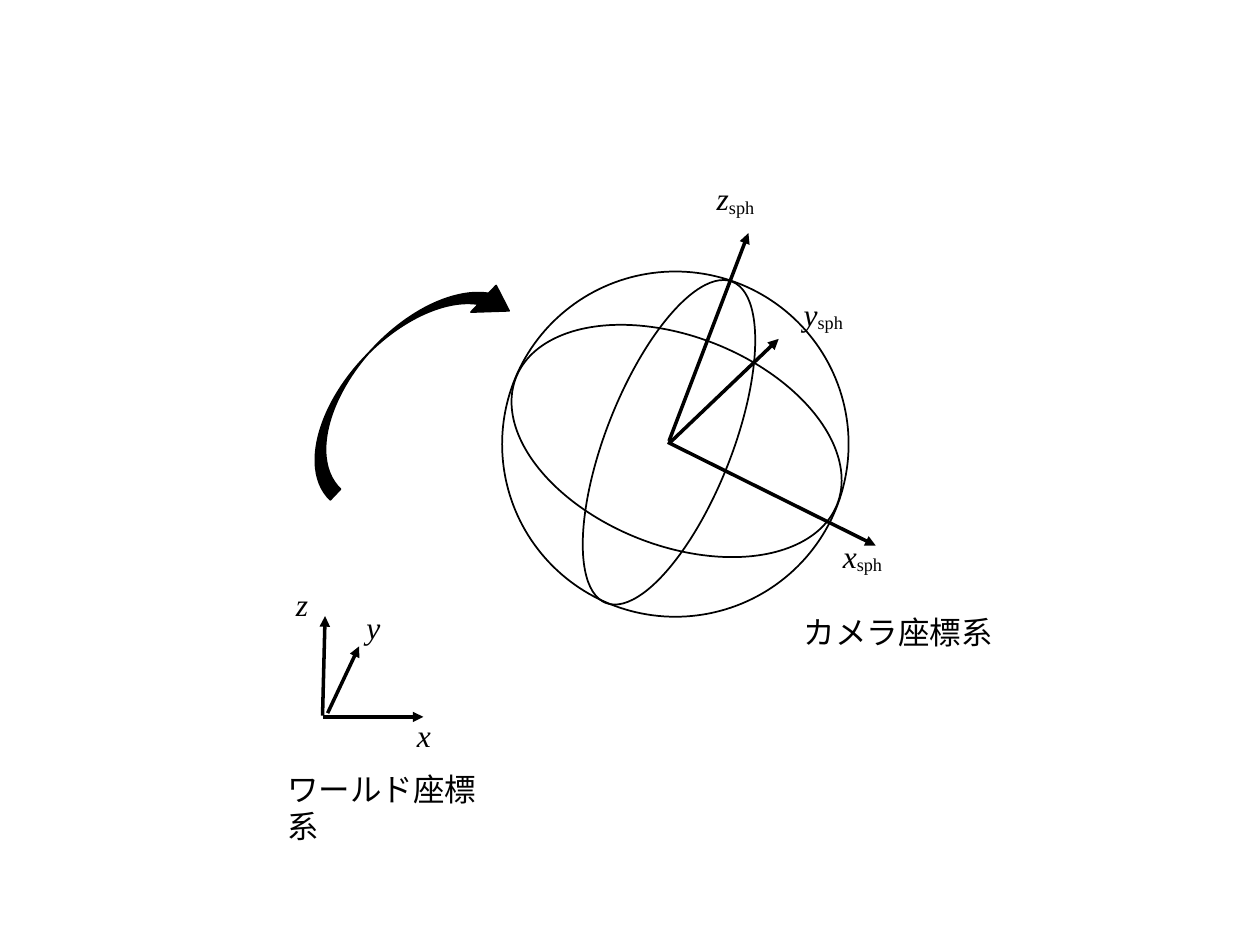
"""Build a slide relating world coordinates to spherical camera coordinates."""
from lxml.etree import SubElement
from pptx import Presentation
from pptx.dml.color import RGBColor
from pptx.enum.shapes import MSO_CONNECTOR, MSO_SHAPE
from pptx.enum.text import MSO_AUTO_SIZE
from pptx.oxml.ns import qn
from pptx.util import Inches, Pt

COLORS = {"ink": "000000"}
INK = RGBColor.from_string(COLORS["ink"])
SYMBOL = {"name": "Times New Roman", "size": Pt(18), "italic": True}
SUBSCRIPT = {**SYMBOL, "italic": False}
CAPTION = {"name": "Calibri", "size": Pt(18)}


def add_axis(shapes, start, end):
    connector = shapes.add_connector(
        MSO_CONNECTOR.STRAIGHT, *[Inches(value) for value in (*start, *end)]
    )
    connector.line.color.rgb = INK
    connector.line.width = Pt(2)
    SubElement(connector.line._get_or_add_ln(), qn("a:tailEnd"), type="triangle")
    SubElement(connector._element.spPr, qn("a:effectLst"))


def add_label(shapes, box, wrap, pieces):
    shape = shapes.add_textbox(*[Inches(value) for value in box])
    shape.text_frame.word_wrap = wrap
    shape.text_frame.auto_size = MSO_AUTO_SIZE.SHAPE_TO_FIT_TEXT
    paragraph = shape.text_frame.paragraphs[0]
    for text, style in pieces:
        run = paragraph.add_run()
        run.text = text
        run.font.color.rgb = INK
        for name, value in style.items():
            setattr(run.font, name, value)
        if style is SUBSCRIPT:
            run._r.get_or_add_rPr().set("baseline", "-12000")


presentation = Presentation()
presentation.slide_width = Inches(10)
presentation.slide_height = Inches(7.5)
slide = presentation.slides.add_slide(presentation.slide_layouts[6])
sphere = slide.shapes.add_group_shape()

ellipses = [
    ((3.99, 2.15, 2.74, 2.75), 270),
    ((4, 2.67, 2.74, 1.66), 21.6),
    ((3.94, 3.01, 2.74, 1), 291.5),
]
for box, rotation in ellipses:
    ellipse = sphere.shapes.add_shape(
        MSO_SHAPE.OVAL, *[Inches(value) for value in box]
    )
    ellipse.rotation = rotation
    ellipse.shadow.inherit = False
    ellipse.fill.background()
    ellipse.line.color.rgb = INK
    ellipse.line.width = Pt(1)

camera_axes = [
    ((5.31, 3.52), (6.18, 2.69)),
    ((5.3, 3.51), (6.95, 4.33)),
    ((5.31, 3.5), (5.94, 1.85)),
]
for start, end in camera_axes:
    add_axis(sphere.shapes, start, end)

camera_labels = [
    ("z", (5.59, 1.37, 0.53, 0.4)),
    ("x", (6.59, 4.21, 0.55, 0.4)),
    ("y", (6.28, 2.29, 0.55, 0.4)),
]
for letter, box in camera_labels:
    add_label(slide.shapes, box, False, [(letter, SYMBOL), ("sph", SUBSCRIPT)])

turn = slide.shapes.add_shape(
    MSO_SHAPE.CURVED_LEFT_ARROW, Inches(2.88), Inches(1.86), Inches(0.58), Inches(2.21)
)
turn.rotation = 223.4
for index, value in enumerate((0.202, 0.5, 0.367)):
    turn.adjustments[index] = value
turn.shadow.inherit = False
turn.fill.solid()
turn.fill.fore_color.rgb = INK
turn.line.color.rgb = INK
turn.line.width = Pt(1)

world_axes = [
    ((2.56, 5.69), (3.36, 5.69)),
    ((2.6, 5.66), (2.85, 5.13)),
    ((2.56, 5.68), (2.58, 4.89)),
]
for start, end in world_axes:
    add_axis(slide.shapes, start, end)

world_labels = [
    ("x", (3.21, 5.63, 0.31, 0.4)),
    ("y", (2.81, 4.78, 0.31, 0.4)),
    ("z", (2.25, 4.59, 0.3, 0.4)),
]
for letter, box in world_labels:
    add_label(slide.shapes, box, False, [(letter, SYMBOL)])

captions = [
    ("ワールド座標系", (2.18, 6.06, 1.87, 0.4)),
    ("カメラ座標系", (6.28, 4.82, 1.72, 0.4)),
]
for text, box in captions:
    add_label(slide.shapes, box, True, [(text, CAPTION)])

presentation.save("out.pptx")
